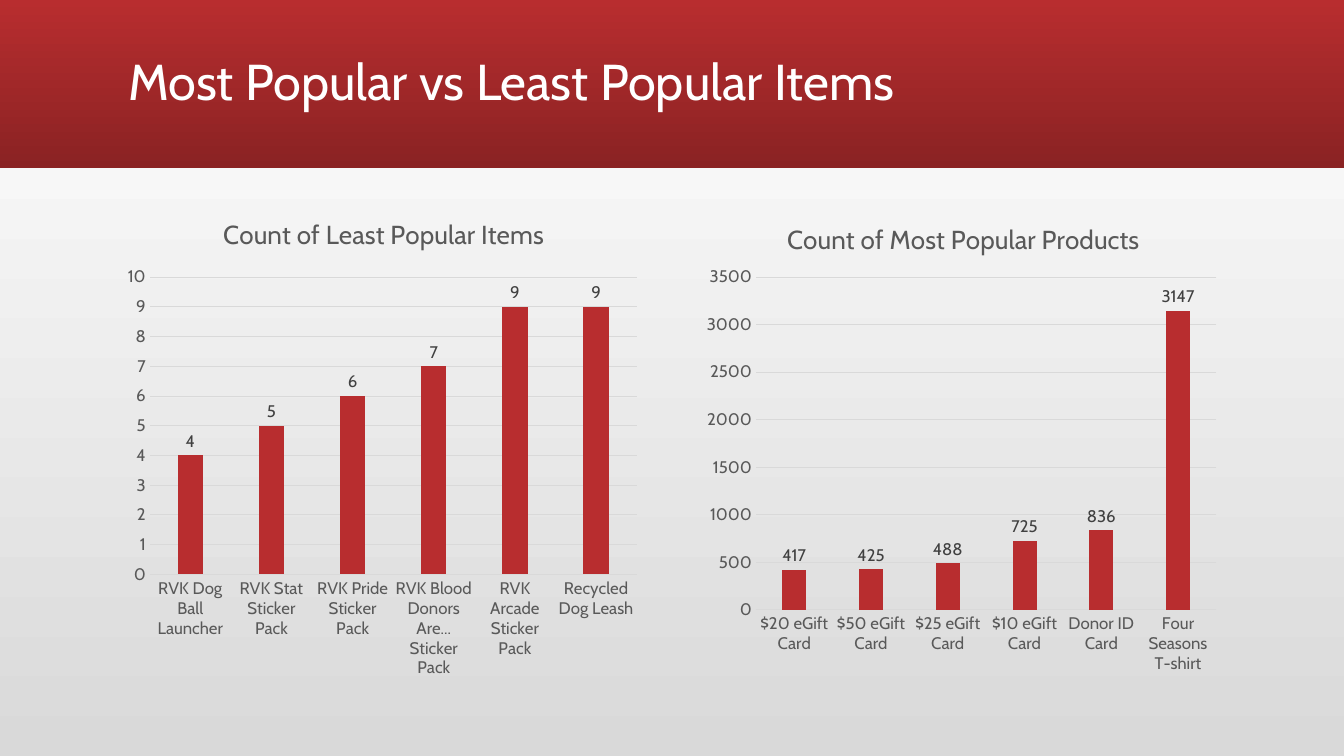
from lxml import etree
from pptx import Presentation
from pptx.chart.data import CategoryChartData
from pptx.dml.color import RGBColor
from pptx.enum.chart import XL_CHART_TYPE, XL_LABEL_POSITION, XL_TICK_MARK
from pptx.enum.shapes import MSO_SHAPE
from pptx.enum.text import MSO_ANCHOR, PP_ALIGN
from pptx.oxml.ns import qn
from pptx.util import Inches, Pt

COLUMN = XL_CHART_TYPE.COLUMN_CLUSTERED
OUT_END = XL_LABEL_POSITION.OUTSIDE_END
NO_TICK = XL_TICK_MARK.NONE
RECT = MSO_SHAPE.RECTANGLE
MIDDLE = MSO_ANCHOR.MIDDLE
LEFT = PP_ALIGN.LEFT

FACE = "Cabin"
COLORS = {
    "red": "B82D2F", "dark": "8A2223", "white": "FFFFFF",
    "gray": "D9D9D9", "text": "595959", "label": "404040",
}
TITLE = "Most Popular vs Least Popular Items"

# Title corner and plot box are fractions of the chart frame
CHARTS = [
    {
        "title": "Count of Least Popular Items",
        "items": [
            ("RVK Dog Ball Launcher", 4),
            ("RVK Stat Sticker Pack", 5),
            ("RVK Pride Sticker Pack", 6),
            ("RVK Blood Donors Are... Sticker Pack", 7),
            ("RVK Arcade Sticker Pack", 9),
            ("Recycled Dog Leash", 9),
        ],
        "top": 10, "step": 1,
        "head": (0.19, 0.02), "plot": (0.06, 0.15, 0.92, 0.59),
    },
    {
        "title": "Count of Most Popular Products",
        "items": [
            ("$20 eGift Card", 417),
            ("$50 eGift Card", 425),
            ("$25 eGift Card", 488),
            ("$10 eGift Card", 725),
            ("Donor ID Card", 836),
            ("Four Seasons T-shirt", 3147),
        ],
        "top": 3500, "step": 500,
        "head": (0.16, 0.03), "plot": (0.11, 0.15, 0.87, 0.66),
    },
]
EDGE, TOP, SIDE, GAP = 1.17, 2, 5.25, 0.5


def color(name):
    return RGBColor.from_string(COLORS[name])


def shade(fill, names, angle):
    fill.gradient()
    fill.gradient_angle = angle
    for stop, name in zip(fill.gradient_stops, names):
        stop.color.rgb = color(name)


def style(font, size, name):
    font.name = FACE
    font.size = Pt(size)
    font.bold = False
    font.color.rgb = color(name)


def rule(line):
    line.color.rgb = color("gray")
    line.width = Pt(0.75)


def place(node, after, box, inner=False):
    """Give a chart title or plot area a fixed place."""
    for old in node.findall(qn("c:layout")):
        node.remove(old)
    layout = etree.Element(qn("c:layout"))
    manual = etree.SubElement(layout, qn("c:manualLayout"))
    parts = [("layoutTarget", "inner")] if inner else []
    parts += [("xMode", "edge"), ("yMode", "edge")]
    parts += zip("xywh", box)
    for tag, value in parts:
        etree.SubElement(manual, qn("c:" + tag)).set("val", str(value))
    if after is None:
        node.insert(0, layout)
    else:
        after.addnext(layout)


def add_bars(slide, info, left):
    data = CategoryChartData()
    data.categories = [name for name, count in info["items"]]
    data.add_series("Series 1", [count for name, count in info["items"]])
    chart = slide.shapes.add_chart(
        COLUMN, Inches(left), Inches(TOP), Inches(SIDE), Inches(5), data
    ).chart
    chart.has_legend = False
    chart.font.name = FACE
    chart.font.size = Pt(10)

    # Chart title
    chart.has_title = True
    frame = chart.chart_title.text_frame
    frame.text = info["title"]
    style(frame.paragraphs[0].font, 18.6, "text")
    head = chart.chart_title._element
    place(head, head.find(qn("c:tx")), info["head"])
    place(chart._chartSpace.chart.plotArea, None, info["plot"], True)

    # Axes
    cats, vals = chart.category_axis, chart.value_axis
    for axis in (cats, vals):
        axis.major_tick_mark = axis.minor_tick_mark = NO_TICK
        style(axis.tick_labels.font, 12, "text")
    rule(cats.format.line)
    vals.format.line.fill.background()
    rule(vals.major_gridlines.format.line)
    vals.minimum_scale = 0
    vals.maximum_scale = info["top"]
    vals.major_unit = info["step"]

    # Bars and their labels
    plot = chart.plots[0]
    plot.gap_width = 219
    plot.overlap = -27
    plot.vary_by_categories = False
    bars = plot.series[0]
    bars.format.fill.solid()
    bars.format.fill.fore_color.rgb = color("red")
    labels = bars.data_labels
    labels.show_value = True
    labels.position = OUT_END
    style(labels.font, 12, "label")


def main():
    deck = Presentation()
    deck.slide_width, deck.slide_height = Inches(13.33), Inches(7.5)
    slide = deck.slides.add_slide(deck.slide_layouts[5])
    shade(slide.background.fill, ("gray", "white"), 90)

    # Red band behind the title
    band = slide.shapes.add_shape(RECT, 0, 0, deck.slide_width, Inches(1.67))
    band.shadow.inherit = False
    band.line.fill.background()
    shade(band.fill, ("red", "dark"), 270)
    title = slide.shapes.title
    title._element.addprevious(band._element)

    # Title
    title.left, title.top = Inches(EDGE), Inches(0.11)
    title.width, title.height = Inches(11), Inches(1.45)
    title.text_frame.text = TITLE
    title.text_frame.vertical_anchor = MIDDLE
    para = title.text_frame.paragraphs[0]
    para.alignment = LEFT
    para.line_spacing = 0.9
    style(para.font, 36, "white")

    # Charts side by side
    for i, info in enumerate(CHARTS):
        add_bars(slide, info, EDGE + i * (SIDE + GAP))

    deck.save("out.pptx")


if __name__ == "__main__":
    main()
